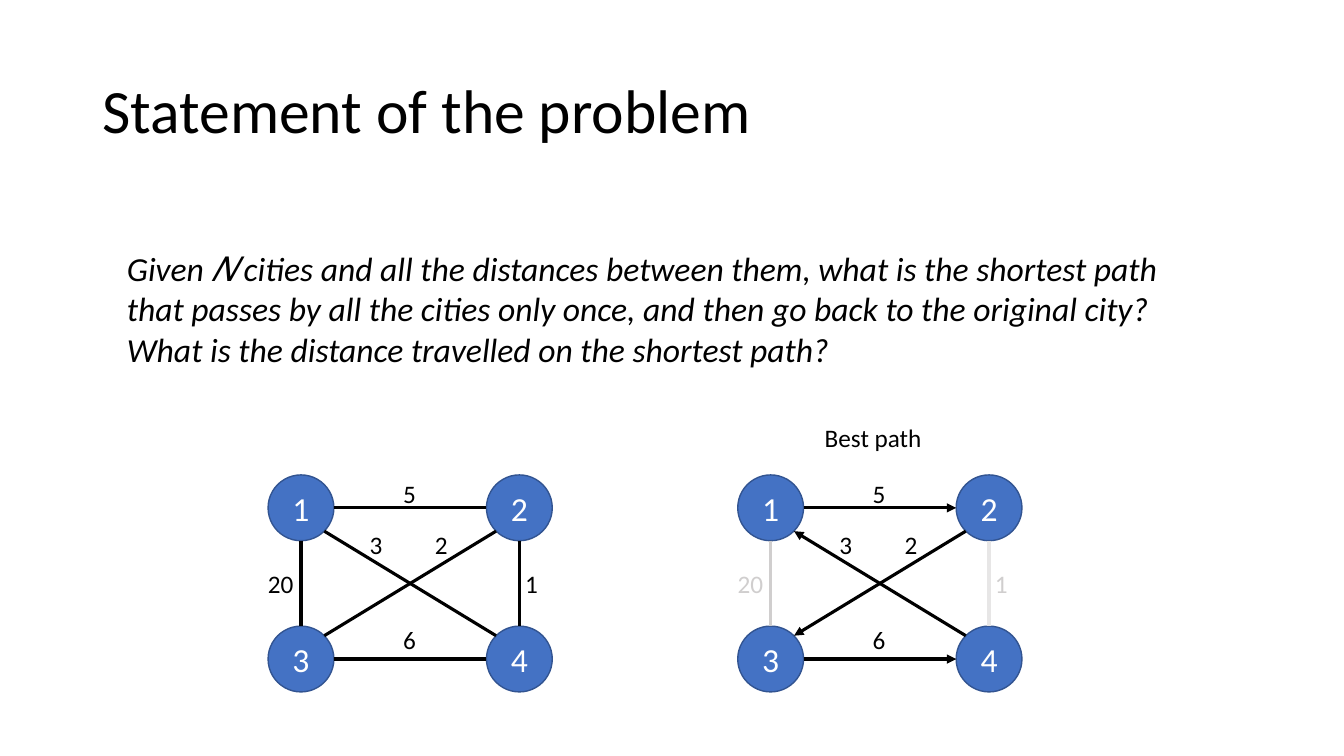
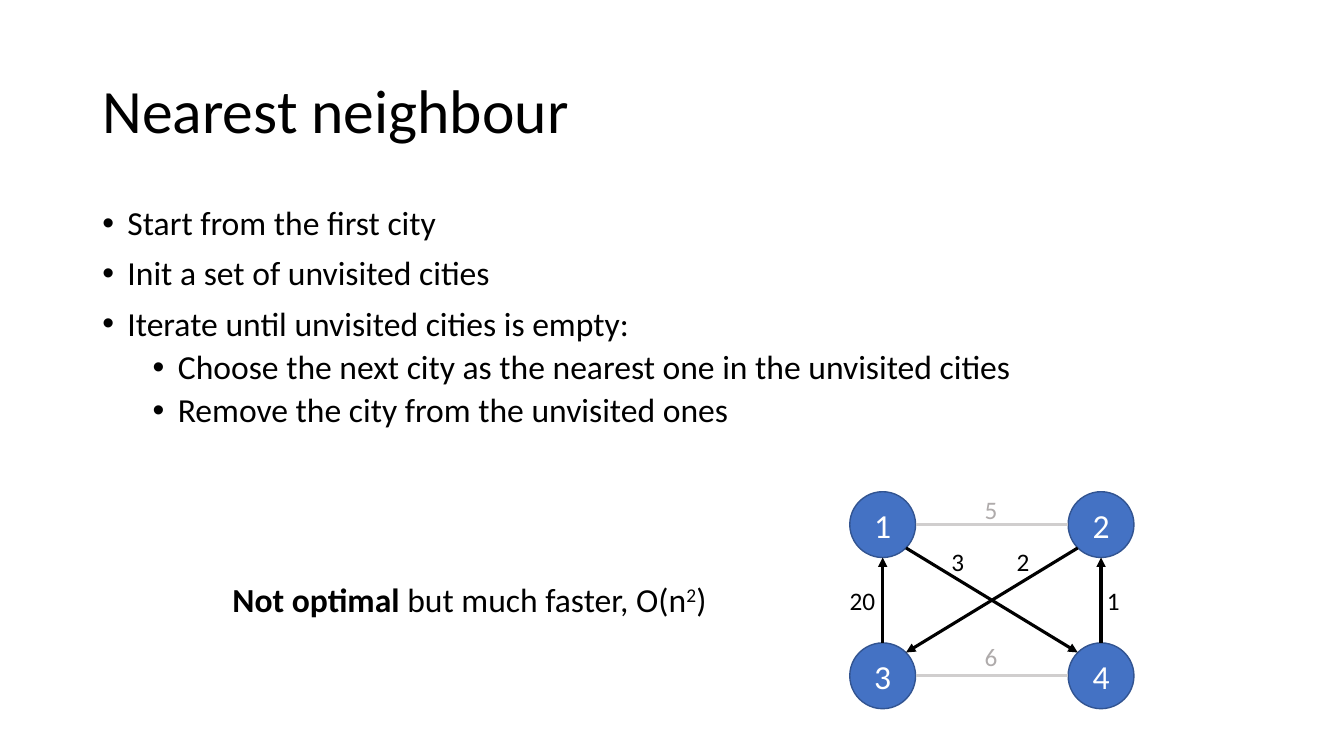
from lxml.etree import SubElement as Sub
from pptx import Presentation
from pptx.dml.color import RGBColor as RGB
from pptx.enum.shapes import MSO_CONNECTOR as Link, MSO_SHAPE as Form
from pptx.enum.text import MSO_ANCHOR as Anchor, MSO_AUTO_SIZE as Fit, PP_ALIGN as Align
from pptx.oxml.ns import qn
from pptx.util import Pt

FONT = "Calibri"
HUES = {"ink": "000000", "paper": "FFFFFF", "node": "4472C4", "rim": "325491",
        "grey": "D0CECE", "pale": "E7E6E6", "dim": "AFABAB"}
SIZE, WIDE, HIGH = 47, 156, 108
NODES = {"1": (0, 0), "2": (WIDE, 0), "4": (WIDE, HIGH), "3": (0, HIGH)}
EDGES = {"12": ("5", 89.3, -1.5), "34": ("6", 89.3, 103), "13": ("20", -7.2, 63.4),
         "24": ("1", 176.5, 63.4), "14": ("3", 65.5, 35.3), "23": ("2", 112, 35.3)}
STEPS = [("Start from the first city", 0),
         ("Init a set of unvisited cities", 0),
         ("Iterate until unvisited cities is empty:", 0),
         ("Choose the next city as the nearest one in the unvisited cities", 1),
         ("Remove the city from the unvisited ones", 1)]


def hue(name):
    return RGB.from_string(HUES[name])


def style(par, size, tone="ink"):
    par.font.name = FONT
    par.font.size = Pt(size)
    par.font.color.rgb = hue(tone)


def start(deck, title):
    slide = deck.slides.add_slide(deck.slide_layouts[5])
    head = slide.shapes.title
    head.left, head.top, head.width, head.height = Pt(66), Pt(28.75), Pt(828), Pt(104.4)
    frame = head.text_frame
    frame.text = title
    frame.auto_size = Fit.NONE
    frame.vertical_anchor = Anchor.MIDDLE
    par = frame.paragraphs[0]
    par.alignment = Align.LEFT
    par.line_spacing = 0.9
    style(par, 44)
    return slide


def box(shapes, x, y, wide, high, wrap=True):
    frame = shapes.add_textbox(Pt(x), Pt(y), Pt(wide), Pt(high)).text_frame
    frame.word_wrap = wrap
    frame.auto_size = Fit.NONE if wrap else Fit.SHAPE_TO_FIT_TEXT
    return frame


def label(shapes, text, x, y, wide, tone="ink"):
    par = box(shapes, x, y, wide, 29, False).paragraphs[0]
    par.text = text
    style(par, 18, tone)


def node(shapes, name, x, y):
    disc = shapes.add_shape(Form.OVAL, Pt(x), Pt(y), Pt(SIZE), Pt(SIZE))
    disc.shadow.inherit = False
    disc.fill.solid()
    disc.fill.fore_color.rgb = hue("node")
    disc.line.color.rgb = hue("rim")
    disc.line.width = Pt(1)
    frame = disc.text_frame
    frame.text = name
    frame.vertical_anchor = Anchor.MIDDLE
    par = frame.paragraphs[0]
    par.alignment = Align.CENTER
    style(par, 24, "paper")


def sign(num):
    return (num > 0) - (num < 0)


def edge(shapes, x, y, way, tone, arrow):
    (ax, ay), (bx, by) = (NODES[name] for name in way)
    right, down = sign(bx - ax), sign(by - ay)
    half = SIZE / 2
    reach = half * (0.71 if right and down else 1)
    x, y = x + half, y + half
    line = shapes.add_connector(
        Link.STRAIGHT,
        Pt(x + ax + right * reach), Pt(y + ay + down * reach),
        Pt(x + bx - right * reach), Pt(y + by - down * reach))
    line.line.color.rgb = hue(tone)
    line.line.width = Pt(2.25)
    if arrow:
        Sub(line.line._get_or_add_ln(), qn("a:tailEnd"), type="triangle")
    Sub(line._element.spPr, qn("a:effectLst"))


def graph(slide, x, y, route=(), faint={}):
    shapes = slide.shapes.add_group_shape().shapes
    for name, (dx, dy) in NODES.items():
        node(shapes, name, x + dx, y + dy)
    for key in EDGES:
        back = key[::-1]
        way = back if back in route else key
        tone = faint.get(key, ("ink", "ink"))[0]
        edge(shapes, x, y, way, tone, way in route)
    for key, (text, dx, dy) in EDGES.items():
        tone = faint.get(key, ("ink", "ink"))[1]
        label(shapes, text, x + dx, y + dy, 15 + 9 * len(text), tone)


def bullets(slide, items):
    frame = box(slide.shapes, 66, 144, 828, 168.5)
    for rank, (text, level) in enumerate(items):
        par = frame.add_paragraph() if rank else frame.paragraphs[0]
        par.text = text
        par.level = level
        par.line_spacing = 0.9
        par.space_before = Pt(5 if level else 10)
        props = par._p.get_or_add_pPr()
        props.set("marL", str(Pt(18 + 36 * level)))
        props.set("indent", str(Pt(-18)))
        Sub(props, qn("a:buFont"), typeface="Arial")
        Sub(props, qn("a:buChar"), char="•")
        style(par, 24)


def problem(deck):
    slide = start(deck, "Statement of the problem")
    frame = box(slide.shapes, 83.5, 173, 793, 94.5)
    frame.vertical_anchor = Anchor.MIDDLE
    par = frame.paragraphs[0]
    par.text = ("Given \U0001d441 cities and all the distances between them, what is the "
                "shortest path that passes by all the cities only once, and then go back "
                "to the original city? What is the distance travelled on the shortest path?")
    style(par, 24)
    par.font.italic = True
    graph(slide, 191.5, 339.25)
    graph(slide, 527, 339.25, ("12", "23", "34", "41"),
          {"13": ("grey", "grey"), "24": ("pale", "grey")})
    label(slide.shapes, "Best path", 582, 298, 84)


def nearest(deck):
    slide = start(deck, "Nearest neighbour")
    bullets(slide, STEPS)
    graph(slide, 607, 351.25, ("14", "42", "23", "31"),
          {"12": ("grey", "dim"), "34": ("grey", "dim")})
    par = box(slide.shapes, 159, 409.75, 357, 36, False).paragraphs[0]
    style(par, 24)
    for text in ("Not optimal ", "but much faster, O(n", "2", ")"):
        par.add_run().text = text
    par.runs[0].font.bold = True
    par.runs[2]._r.get_or_add_rPr().set("baseline", "30000")


def main():
    deck = Presentation()
    deck.slide_width, deck.slide_height = Pt(960), Pt(540)
    problem(deck)
    nearest(deck)
    deck.save("out.pptx")


main()
